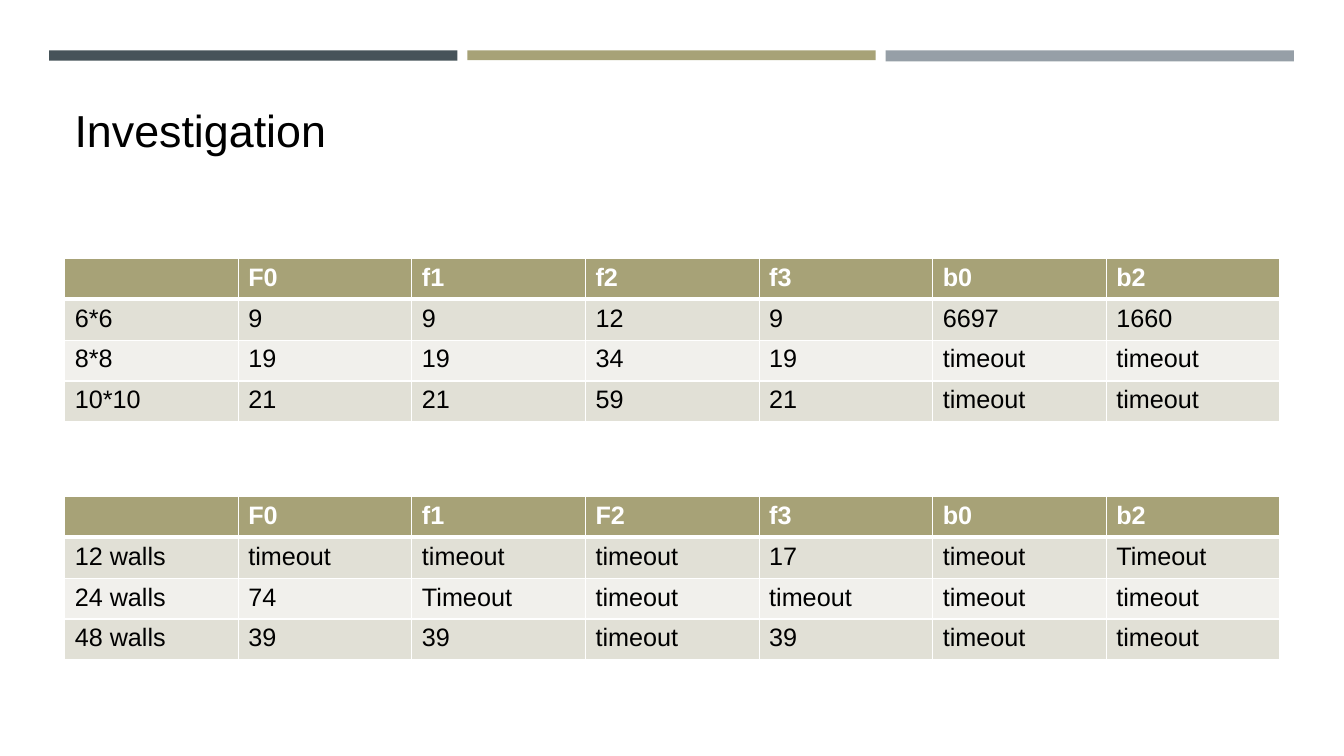
"""Build the Investigation slide with its two result tables."""
import dataclasses

import lxml.etree
import pptx
import pptx.dml.color
import pptx.enum.shapes
import pptx.oxml.ns
import pptx.slide
import pptx.table
import pptx.text.text
import pptx.util

Cm = pptx.util.Cm
Pt = pptx.util.Pt


@dataclasses.dataclass(frozen=True)
class Theme:
    font: str = "Arial"
    title_size: int = 32
    table_size: int = 18
    text: str = "000000"
    white: str = "FFFFFF"
    slate: str = "465359"
    olive: str = "A7A277"
    grey: str = "969FA7"
    bands: tuple[str, str] = ("E1E0D6", "F1F0EC")
    thin_border: int = 1
    thick_border: int = 3


@dataclasses.dataclass(frozen=True)
class Bar:
    color: str
    height: float


@dataclasses.dataclass(frozen=True)
class ResultTable:
    top: float
    rows: tuple[tuple[str, ...], ...]


THEME = Theme()
MARGIN = 1.63
CONTENT_WIDTH = 30.63
ROW_HEIGHT = 1.03
BAR_LEFT = 1.24
BAR_TOP = 1.27
BAR_WIDTH = 10.29
BAR_STEP = 10.54

BARS = (Bar(THEME.slate, 0.26), Bar(THEME.olive, 0.25), Bar(THEME.grey, 0.28))

TABLES = (
    ResultTable(6.51, (
        ("", "F0", "f1", "f2", "f3", "b0", "b2"),
        ("6*6", "9", "9", "12", "9", "6697", "1660"),
        ("8*8", "19", "19", "34", "19", "timeout", "timeout"),
        ("10*10", "21", "21", "59", "21", "timeout", "timeout"),
    )),
    ResultTable(12.51, (
        ("", "F0", "f1", "F2", "f3", "b0", "b2"),
        ("12 walls", "timeout", "timeout", "timeout", "17", "timeout", "Timeout"),
        ("24 walls", "74", "Timeout", "timeout", "timeout", "timeout", "timeout"),
        ("48 walls", "39", "39", "timeout", "39", "timeout", "timeout"),
    )),
)


def rgb(color: str) -> pptx.dml.color.RGBColor:
    """Return the colour for a hexadecimal code."""
    return pptx.dml.color.RGBColor.from_string(color)


def add_run(text_frame: pptx.text.text.TextFrame, text: str, size: int,
            color: str, bold: bool = False) -> None:
    """Add one formatted run to the first paragraph."""
    run = text_frame.paragraphs[0].add_run()
    run.text = text
    run.font.name = THEME.font
    run.font.size = Pt(size)
    run.font.bold = bold
    run.font.color.rgb = rgb(color)


def add_bar(slide: pptx.slide.Slide, bar: Bar, index: int) -> None:
    """Draw one of the bars along the top."""
    shape = slide.shapes.add_shape(
        pptx.enum.shapes.MSO_SHAPE.RECTANGLE,
        Cm(BAR_LEFT + index * BAR_STEP), Cm(BAR_TOP), Cm(BAR_WIDTH), Cm(bar.height))
    shape.shadow.inherit = False
    shape.fill.solid()
    shape.fill.fore_color.rgb = rgb(bar.color)
    shape.line.fill.background()


def add_title(slide: pptx.slide.Slide, text: str) -> None:
    """Write the slide title."""
    box = slide.shapes.add_textbox(Cm(MARGIN), Cm(2.46), Cm(CONTENT_WIDTH), Cm(1.63))
    box.text_frame.word_wrap = True
    add_run(box.text_frame, text, THEME.title_size, THEME.text)


def add_border(cell: pptx.table._Cell, side: str, width: int) -> None:
    """Give one side of a cell a white border."""
    qualified = pptx.oxml.ns.qn
    properties = cell._tc.get_or_add_tcPr()
    line = lxml.etree.SubElement(properties, qualified(f"a:ln{side}"), w=str(Pt(width)))
    fill = lxml.etree.SubElement(line, qualified("a:solidFill"))
    lxml.etree.SubElement(fill, qualified("a:srgbClr"), val=THEME.white)


def format_cell(cell: pptx.table._Cell, text: str, row_index: int) -> None:
    """Fill, border and write a cell according to its row."""
    is_header = row_index == 0
    top = THEME.thick_border if row_index == 1 else THEME.thin_border
    bottom = THEME.thick_border if is_header else THEME.thin_border
    widths = {"L": THEME.thin_border, "R": THEME.thin_border, "T": top, "B": bottom}
    for side, width in widths.items():
        add_border(cell, side, width)
    cell.fill.solid()
    cell.fill.fore_color.rgb = rgb(
        THEME.olive if is_header else THEME.bands[(row_index - 1) % 2])
    if text:
        add_run(cell.text_frame, text, THEME.table_size,
                THEME.white if is_header else THEME.text, is_header)


def add_result_table(slide: pptx.slide.Slide, result: ResultTable) -> None:
    """Draw one result table."""
    row_count, column_count = len(result.rows), len(result.rows[0])
    table = slide.shapes.add_table(
        row_count, column_count, Cm(MARGIN), Cm(result.top),
        Cm(CONTENT_WIDTH), Cm(row_count * ROW_HEIGHT)).table
    for row_index, row in enumerate(result.rows):
        for column_index, text in enumerate(row):
            format_cell(table.cell(row_index, column_index), text, row_index)


def main() -> None:
    """Build and save the presentation."""
    presentation = pptx.Presentation()
    presentation.slide_width = Cm(33.87)
    presentation.slide_height = Cm(19.05)
    slide = presentation.slides.add_slide(presentation.slide_layouts[6])
    for index, bar in enumerate(BARS):
        add_bar(slide, bar, index)
    add_title(slide, "Investigation")
    for result in TABLES:
        add_result_table(slide, result)
    presentation.save("out.pptx")


if __name__ == "__main__":
    main()
